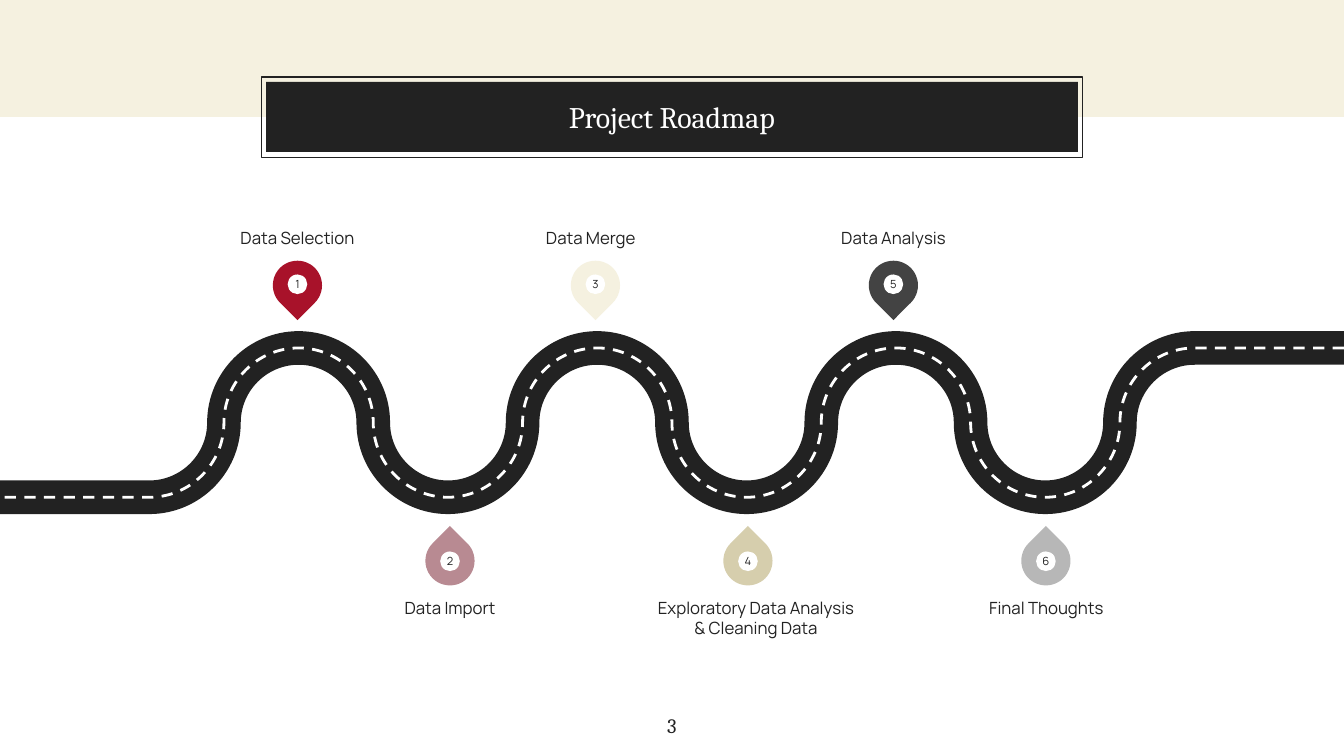
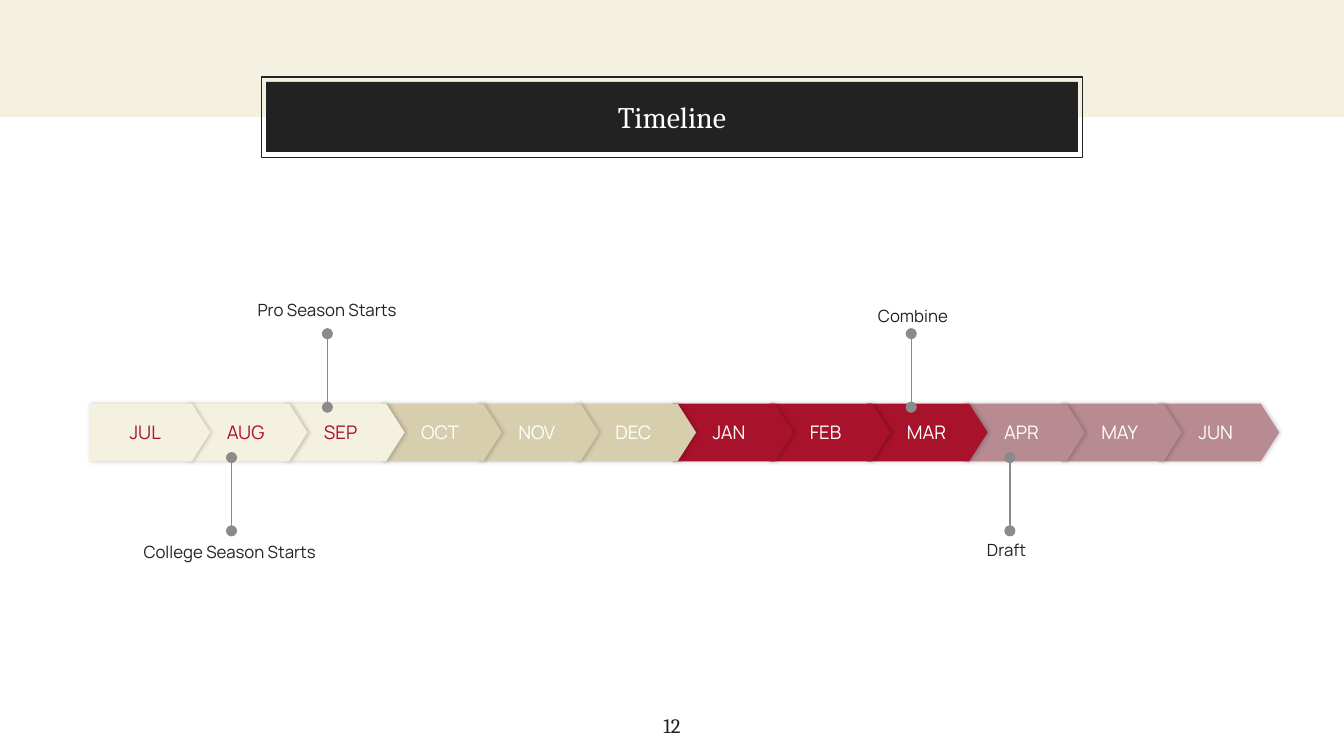
import dataclasses
import itertools

import lxml.etree
import pptx
import pptx.dml.color
import pptx.enum.dml
import pptx.enum.shapes
import pptx.enum.text
import pptx.oxml.ns
import pptx.presentation
import pptx.shapes.autoshape
import pptx.slide
import pptx.util

RGBColor = pptx.dml.color.RGBColor
Preset = pptx.enum.shapes.MSO_SHAPE
Align = pptx.enum.text.PP_ALIGN
Anchor = pptx.enum.text.MSO_ANCHOR

INK = RGBColor(0x22, 0x22, 0x22)
WHITE = RGBColor(0xFF, 0xFF, 0xFF)
CREAM = RGBColor(0xF5, 0xF1, 0xE0)
SAND = RGBColor(0xD6, 0xCE, 0xAD)
CRIMSON = RGBColor(0xA8, 0x12, 0x2A)
ROSE = RGBColor(0xB8, 0x8A, 0x92)
CHARCOAL = RGBColor(0x43, 0x43, 0x43)
SILVER = RGBColor(0xB7, 0xB7, 0xB7)
STEM_GRAY = RGBColor(0x8B, 0x8B, 0x8B)

SERIF = "Cambria"
SANS = "Manrope"

SLIDE_WIDTH = pptx.util.Inches(10)
COLUMNS = 100
ROWS = 56.25

ROAD_RADIUS = COLUMNS / 18
ROAD_MIDDLE = 31.45
ARC_HANDLE = 0.55
PIN_STEP = 22.17
PIN_SIZE = 3.66
DISC_SIZE = 1.46
LABEL_HEIGHT = 5.8

MONTH_LEFT = 6.65
MONTH_STEP = 7.23
MONTH_WIDTH = 9
MONTH_TOP = 30.03
MONTH_HEIGHT = 4.3


def cells(count: float) -> int:
    return round(SLIDE_WIDTH * count / COLUMNS)


@dataclasses.dataclass(frozen=True)
class Box:
    left: float
    top: float
    width: float
    height: float

    def lengths(self) -> tuple[int, int, int, int]:
        return cells(self.left), cells(self.top), cells(self.width), cells(self.height)


@dataclasses.dataclass(frozen=True)
class TextStyle:
    size: float
    font: str = SANS
    color: RGBColor = INK
    align: Align = Align.CENTER
    anchor: Anchor = Anchor.TOP
    insets: tuple[float, float, float, float] = (0, 0, 0, 0)


@dataclasses.dataclass(frozen=True)
class PinRow:
    first_center: float
    pin_middle: float
    disc_middle: float
    rotation: float
    label_top: float
    anchor: Anchor


@dataclasses.dataclass(frozen=True)
class Pin:
    number: int
    text: str
    color: RGBColor
    label_center: float
    label_width: float = 14.1


@dataclasses.dataclass(frozen=True)
class Quarter:
    months: tuple[str, str, str]
    fill: RGBColor
    text_color: RGBColor = WHITE


@dataclasses.dataclass(frozen=True)
class Event:
    text: str
    stem: float
    above: bool
    label_left: float
    label_top: float
    anchor: Anchor = Anchor.TOP


TITLE_STYLE = TextStyle(16, SERIF, WHITE, anchor=Anchor.MIDDLE, insets=(1, 1, 1, 1))
PAGE_STYLE = TextStyle(11, SERIF, insets=(1, 1, 1, 1))
NUMBER_STYLE = TextStyle(6, anchor=Anchor.MIDDLE)
LABEL_STYLE = TextStyle(9)
MONTH_STYLE = TextStyle(10, align=Align.LEFT, anchor=Anchor.MIDDLE, insets=(3, 0, 0, 0))

PIN_ROWS = (
    PinRow(22.13, 21.23, 21.15, 135, 12.65, Anchor.BOTTOM),
    PinRow(33.48, 41.73, 41.76, 315, 44.45, Anchor.TOP),
)
PINS = (
    Pin(1, "Data Selection", CRIMSON, 22.13),
    Pin(2, "Data Import", ROSE, 33.48),
    Pin(3, "Data Merge", CREAM, 43.95),
    Pin(4, "Exploratory Data Analysis & Cleaning Data", SAND, 56.25, 15.3),
    Pin(5, "Data Analysis", CHARCOAL, 66.47),
    Pin(6, "Final Thoughts", SILVER, 77.85),
)
QUARTERS = (
    Quarter(("JUL", "AUG", "SEP"), CREAM, CRIMSON),
    Quarter(("OCT", "NOV", "DEC"), SAND),
    Quarter(("JAN", "FEB", "MAR"), CRIMSON),
    Quarter(("APR", "MAY", "JUN"), ROSE),
)
EVENTS = (
    Event("College Season Starts", 17.23, False, 10.68, 40.3),
    Event("Pro Season Starts", 24.36, True, 19.17, 22.3),
    Event("Combine", 67.8, True, 65.33, 18.45, Anchor.BOTTOM),
    Event("Draft", 75.14, False, 73.44, 40.15),
)


def write(shape: pptx.shapes.autoshape.Shape, text: str, style: TextStyle) -> None:
    frame = shape.text_frame
    frame.text = text
    frame.word_wrap = True
    frame.vertical_anchor = style.anchor
    frame.margin_left, frame.margin_top, frame.margin_right, frame.margin_bottom = map(cells, style.insets)
    paragraph = frame.paragraphs[0]
    paragraph.alignment = style.align
    paragraph.font.size = pptx.util.Pt(style.size)
    paragraph.font.name = style.font
    paragraph.font.color.rgb = style.color


def add_text(slide: pptx.slide.Slide, box: Box, text: str, style: TextStyle) -> None:
    write(slide.shapes.add_textbox(*box.lengths()), text, style)


def add_filled(slide: pptx.slide.Slide, preset: Preset, box: Box, color: RGBColor) -> pptx.shapes.autoshape.Shape:
    shape = slide.shapes.add_shape(preset, *box.lengths())
    shape.shadow.inherit = False
    shape.fill.solid()
    shape.fill.fore_color.rgb = color
    shape.line.fill.background()
    return shape


def add_child(parent: lxml.etree._Element, tag: str, **attributes: str) -> lxml.etree._Element:
    return lxml.etree.SubElement(parent, pptx.oxml.ns.qn(tag), attributes)


def add_soft_shadow(shape: pptx.shapes.autoshape.Shape) -> None:
    effects = shape.element.spPr.find(pptx.oxml.ns.qn("a:effectLst"))
    shadow = add_child(
        effects, "a:outerShdw", blurRad=str(pptx.util.Pt(2.2)), dist=str(pptx.util.Pt(0.8)), dir="0", rotWithShape="0"
    )
    add_child(add_child(shadow, "a:srgbClr", val="000000"), "a:alpha", val="20000")


def add_base_slide(presentation: pptx.presentation.Presentation, title: str, page: int) -> pptx.slide.Slide:
    slide = presentation.slides.add_slide(presentation.slide_layouts[6])
    add_filled(slide, Preset.RECTANGLE, Box(0, 0, COLUMNS, 8.7), CREAM)
    frame = slide.shapes.add_shape(Preset.RECTANGLE, *Box(19.45, 5.73, 61.1, 5.98).lengths())
    frame.shadow.inherit = False
    frame.fill.background()
    frame.line.color.rgb = INK
    frame.line.width = pptx.util.Pt(0.75)
    banner = add_filled(slide, Preset.RECTANGLE, Box(19.8, 6.1, 60.4, 5.2), INK)
    write(banner, title, TITLE_STYLE)
    add_text(slide, Box(47, 52.15, 6, 3.3), str(page), PAGE_STYLE)
    return slide


def road_knots() -> list[tuple[int, int]]:
    heights = itertools.cycle((-1, 0, 1, 0))
    bends = [(column, next(heights)) for column in range(16, 1, -1)]
    knots = [(18, -1), *bends, (0, 1)]
    return [(cells(column * ROAD_RADIUS), cells(ROAD_MIDDLE + side * ROAD_RADIUS)) for column, side in knots]


def round_bends(road: pptx.shapes.autoshape.Shape, knots: list[tuple[int, int]]) -> None:
    segments = list(road.element.iter(pptx.oxml.ns.qn("a:lnTo")))
    for index, (segment, (start, end)) in enumerate(zip(segments, itertools.pairwise(knots))):
        (x1, y1), (x2, y2) = start, end
        if y1 == y2:
            continue
        shift_x, shift_y = round(ARC_HANDLE * (x2 - x1)), round(ARC_HANDLE * (y2 - y1))
        if index % 2 == 1:
            handles = (x1 + shift_x, y1), (x2, y2 - shift_y)
        else:
            handles = (x1, y1 + shift_y), (x2 - shift_x, y2)
        curve = lxml.etree.Element(pptx.oxml.ns.qn("a:cubicBezTo"))
        for x, y in (*handles, end):
            add_child(curve, "a:pt", x=str(x - road.left), y=str(y - road.top))
        segment.getparent().replace(segment, curve)


def add_road_line(slide: pptx.slide.Slide, color: RGBColor, width: float, dashed: bool) -> None:
    knots = road_knots()
    builder = slide.shapes.build_freeform(*knots[0])
    builder.add_line_segments(knots[1:], close=False)
    road = builder.convert_to_shape()
    round_bends(road, knots)
    road.shadow.inherit = False
    road.fill.background()
    road.line.color.rgb = color
    road.line.width = pptx.util.Pt(width)
    if dashed:
        road.line.dash_style = pptx.enum.dml.MSO_LINE.DASH


def square(center: float, middle: float, size: float) -> Box:
    return Box(center - size / 2, middle - size / 2, size, size)


def add_pin(slide: pptx.slide.Slide, pin: Pin) -> None:
    column, row_index = divmod(pin.number - 1, 2)
    row = PIN_ROWS[row_index]
    center = row.first_center + column * PIN_STEP
    drop = add_filled(slide, Preset.TEAR, square(center, row.pin_middle, PIN_SIZE), pin.color)
    drop.rotation = row.rotation
    disc = add_filled(slide, Preset.OVAL, square(center, row.disc_middle, DISC_SIZE), WHITE)
    write(disc, str(pin.number), NUMBER_STYLE)
    slide.shapes.add_group_shape([drop, disc])
    label_box = Box(pin.label_center - pin.label_width / 2, row.label_top, pin.label_width, LABEL_HEIGHT)
    add_text(slide, label_box, pin.text, dataclasses.replace(LABEL_STYLE, anchor=row.anchor))


def add_months(slide: pptx.slide.Slide) -> None:
    months = [(month, quarter) for quarter in QUARTERS for month in quarter.months]
    for index, (month, quarter) in reversed(list(enumerate(months))):
        box = Box(MONTH_LEFT + index * MONTH_STEP, MONTH_TOP, MONTH_WIDTH, MONTH_HEIGHT)
        arrow = add_filled(slide, Preset.PENTAGON, box, quarter.fill)
        arrow.adjustments[0] = 0.32
        add_soft_shadow(arrow)
        write(arrow, month, dataclasses.replace(MONTH_STYLE, color=quarter.text_color))


def add_event(slide: pptx.slide.Slide, event: Event) -> None:
    start, end = (30.3, 24.83) if event.above else (39.5, 34.05)
    stem = slide.shapes.add_connector(
        pptx.enum.shapes.MSO_CONNECTOR.STRAIGHT, cells(event.stem), cells(start), cells(event.stem), cells(end)
    )
    stem.line.color.rgb = STEM_GRAY
    stem.line.width = pptx.util.Pt(0.75)
    outline = stem.element.spPr.find(pptx.oxml.ns.qn("a:ln"))
    for tag in ("a:headEnd", "a:tailEnd"):
        add_child(outline, tag, type="oval")
    add_child(stem.element.spPr, "a:effectLst")
    style = dataclasses.replace(LABEL_STYLE, align=Align.LEFT, anchor=event.anchor)
    add_text(slide, Box(event.label_left, event.label_top, 13.7, LABEL_HEIGHT), event.text, style)


def main() -> None:
    presentation = pptx.Presentation()
    presentation.slide_width = SLIDE_WIDTH
    presentation.slide_height = cells(ROWS)

    roadmap = add_base_slide(presentation, "Project Roadmap", 3)
    add_road_line(roadmap, INK, 18, dashed=False)
    add_road_line(roadmap, WHITE, 1.5, dashed=True)
    for pin in PINS:
        add_pin(roadmap, pin)

    timeline = add_base_slide(presentation, "Timeline", 12)
    add_months(timeline)
    for event in EVENTS:
        add_event(timeline, event)

    presentation.save("out.pptx")


if __name__ == "__main__":
    main()
